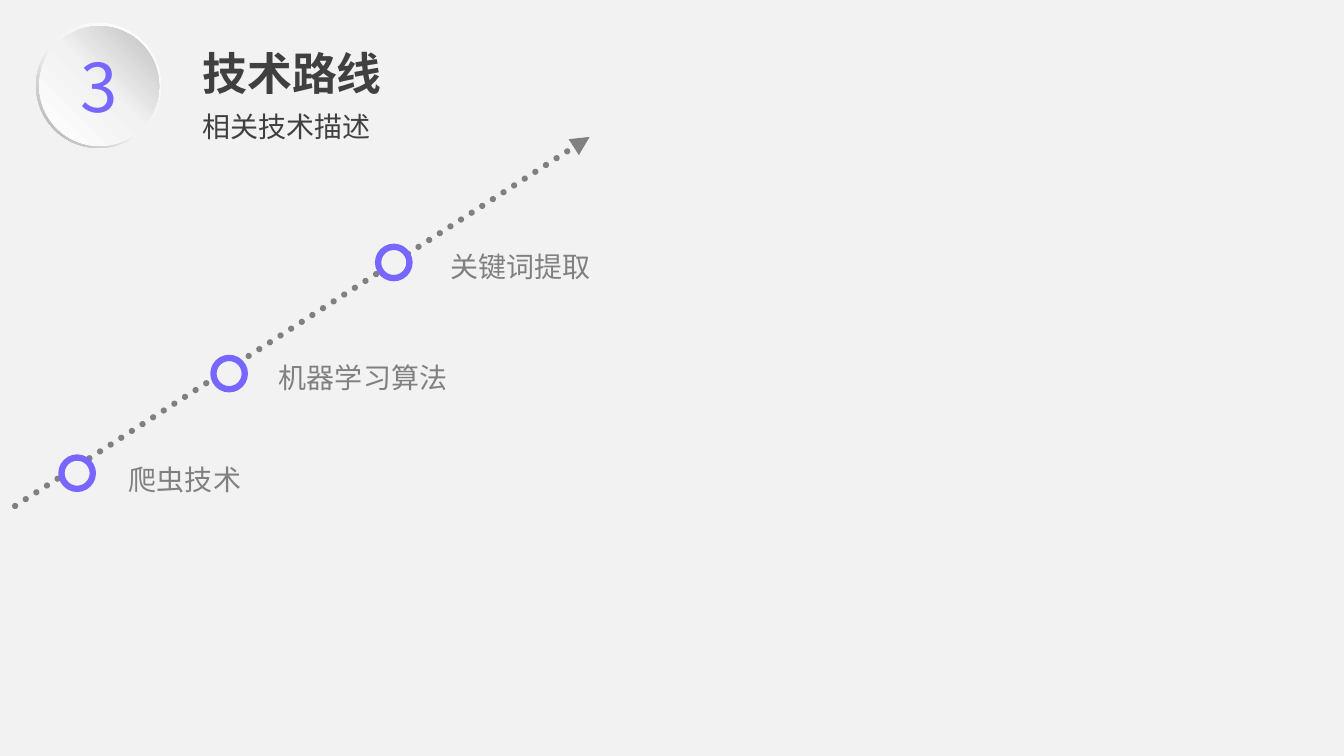
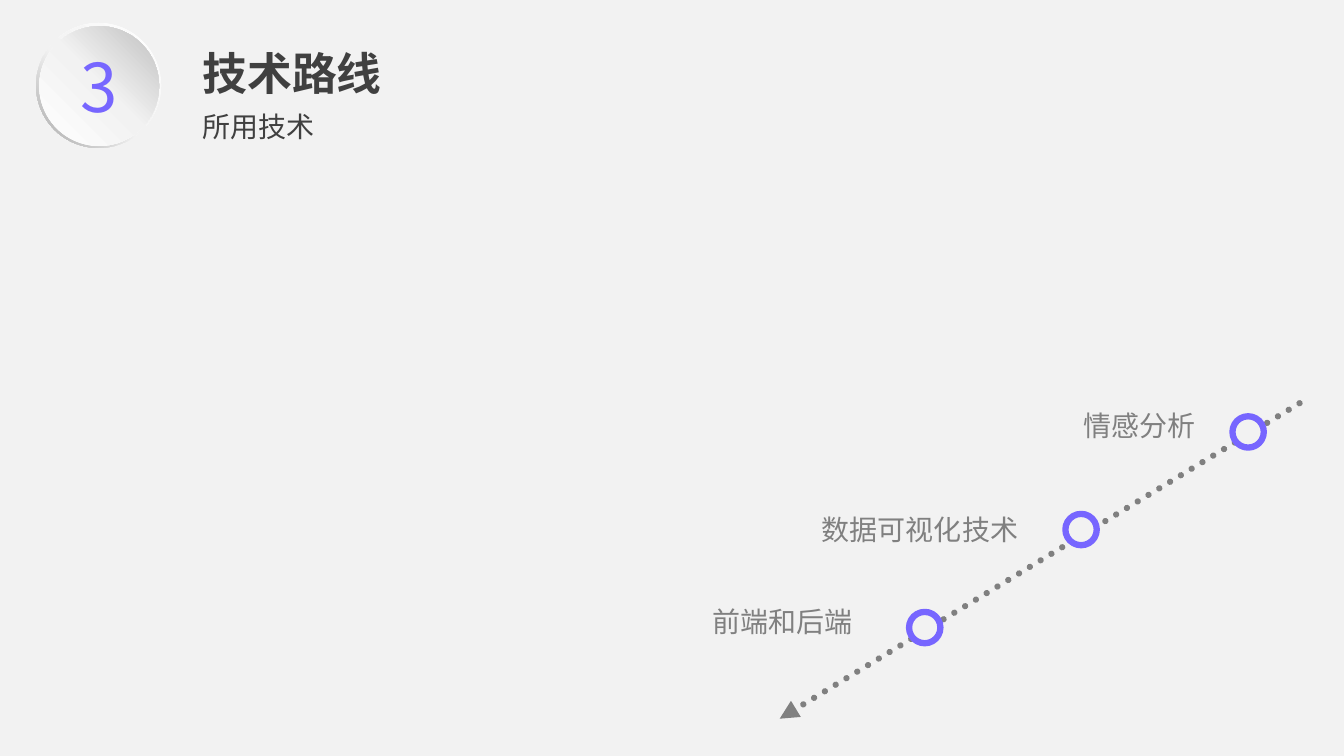
from copy import deepcopy

from pptx import Presentation
from pptx.dml.color import RGBColor
from pptx.enum import dml, shapes, text
from pptx.oxml.ns import qn
from pptx.util import Cm, Pt

PAPER = RGBColor(0xF2, 0xF2, 0xF2)
WHITE = RGBColor(0xFF, 0xFF, 0xFF)
SILVER = RGBColor(0xBF, 0xBF, 0xBF)
STEEL = RGBColor(0xA6, 0xA6, 0xA6)
GREY = RGBColor(0x80, 0x80, 0x80)
DARK = RGBColor(0x40, 0x40, 0x40)
VIOLET = RGBColor(0x77, 0x66, 0xFF)

HAN = "Noto Sans CJK SC"
LEFT, RIGHT = text.PP_ALIGN.LEFT, text.PP_ALIGN.RIGHT
HEAD = {"name": "Arial", "size": Pt(32), "bold": True, "color": DARK}
SUB = {"name": HAN, "size": Pt(20), "color": DARK}
LABEL = {"name": HAN, "size": Pt(20), "color": GREY}
DIGIT = {"name": HAN, "size": Pt(48), "color": VIOLET}

RING = 0.79
LABEL_W, LABEL_H = 7.09, 1.12

SLIDES = [
    {
        "sub": "相关技术描述",
        "line": (0.38, 12.75, 14.86, 3.45),
        "align": LEFT,
        "steps": [
            ("爬虫技术", (1.55, 11.53), (3, 11.53)),
            ("机器学习算法", (5.38, 9.02), (6.78, 8.97)),
            ("关键词提取", (9.53, 6.22), (11.1, 6.17)),
        ],
    },
    {
        "sub": "所用技术",
        "line": (32.75, 10.16, 19.65, 18.11),
        "align": RIGHT,
        "steps": [
            ("情感分析", (31.06, 10.49), (23.29, 10.16)),
            ("数据可视化技术", (26.85, 12.95), (18.82, 12.78)),
            ("前端和后端", (22.91, 15.42), (14.65, 15.11)),
        ],
    },
]


def write(box, words, style, align=LEFT, wrap=True):
    frame = box.text_frame
    frame.word_wrap = wrap
    frame.auto_size = text.MSO_AUTO_SIZE.SHAPE_TO_FIT_TEXT
    frame.vertical_anchor = text.MSO_ANCHOR.TOP
    para = frame.paragraphs[0]
    para.alignment = align
    run = para.add_run()
    run.text = words
    for key, value in style.items():
        if key == "color":
            run.font.color.rgb = value
        else:
            setattr(run.font, key, value)
    east = run.font._element.makeelement(qn("a:ea"), {"typeface": HAN})
    run.font._element.append(east)


def add_text(slide, place, words, style, align=LEFT):
    box = slide.shapes.add_textbox(*map(Cm, place))
    write(box, words, style, align)


def add_disc(slide, kind, x, y, size):
    disc = slide.shapes.add_shape(kind, *map(Cm, (x, y, size, size)))
    disc.shadow.inherit = False
    return disc


def shade(disc, stops, angle):
    disc.line.fill.background()
    disc.fill.gradient()
    disc.fill.gradient_angle = angle
    group = disc._element.spPr.find(".//" + qn("a:gsLst"))
    group.append(deepcopy(group[0]))
    for stop, (spot, color) in zip(disc.fill.gradient_stops, stops):
        stop.position = spot
        stop.color.rgb = color


def add_badge(slide, digit):
    rim = add_disc(slide, shapes.MSO_SHAPE.DONUT, 0.91, 0.58, 3.15)
    rim.adjustments[0] = 0.02
    shade(rim, [(0, WHITE), (0.55, PAPER), (1, STEEL)], 225)
    face = add_disc(slide, shapes.MSO_SHAPE.OVAL, 0.99, 0.66, 3.02)
    shade(face, [(0, WHITE), (0.51, PAPER), (1, SILVER)], 45)
    add_text(slide, (1.78, 1.02, 1.22, 2.31), digit, DIGIT)


def add_head(slide, title, sub):
    box = slide.shapes.title
    place = {"left": 4.85, "top": 1.02, "width": 5.08, "height": 1.63}
    for key, value in place.items():
        setattr(box, key, Cm(value))
    write(box, title, HEAD, wrap=False)
    add_text(slide, (4.85, 2.64, 7.19, 1.12), sub, SUB)
    add_badge(slide, "3")


def add_arrow(slide, ends):
    arrow = slide.shapes.add_connector(
        shapes.MSO_CONNECTOR.STRAIGHT, *map(Cm, ends))
    arrow.line.color.rgb = GREY
    arrow.line.width = Pt(4.5)
    arrow.line.dash_style = dml.MSO_LINE.ROUND_DOT
    frame = arrow._element.spPr
    line = frame.find(qn("a:ln"))
    line.set("cap", "rnd")
    line.append(line.makeelement(qn("a:tailEnd"), {"type": "triangle"}))
    frame.append(frame.makeelement(qn("a:effectLst"), {}))


def add_step(slide, words, node, spot, align):
    ring = add_disc(slide, shapes.MSO_SHAPE.OVAL, *node, RING)
    ring.fill.solid()
    ring.fill.fore_color.rgb = PAPER
    ring.line.color.rgb = VIOLET
    ring.line.width = Pt(4.5)
    add_text(slide, (*spot, LABEL_W, LABEL_H), words, LABEL, align)


def main():
    deck = Presentation()
    deck.slide_width, deck.slide_height = Cm(33.87), Cm(19.05)
    back = deck.slide_master.background.fill
    back.solid()
    back.fore_color.rgb = PAPER
    for page in SLIDES:
        slide = deck.slides.add_slide(deck.slide_layouts[5])
        add_head(slide, "技术路线", page["sub"])
        add_arrow(slide, page["line"])
        for words, node, spot in page["steps"]:
            add_step(slide, words, node, spot, page["align"])
    deck.save("out.pptx")


if __name__ == "__main__":
    main()
